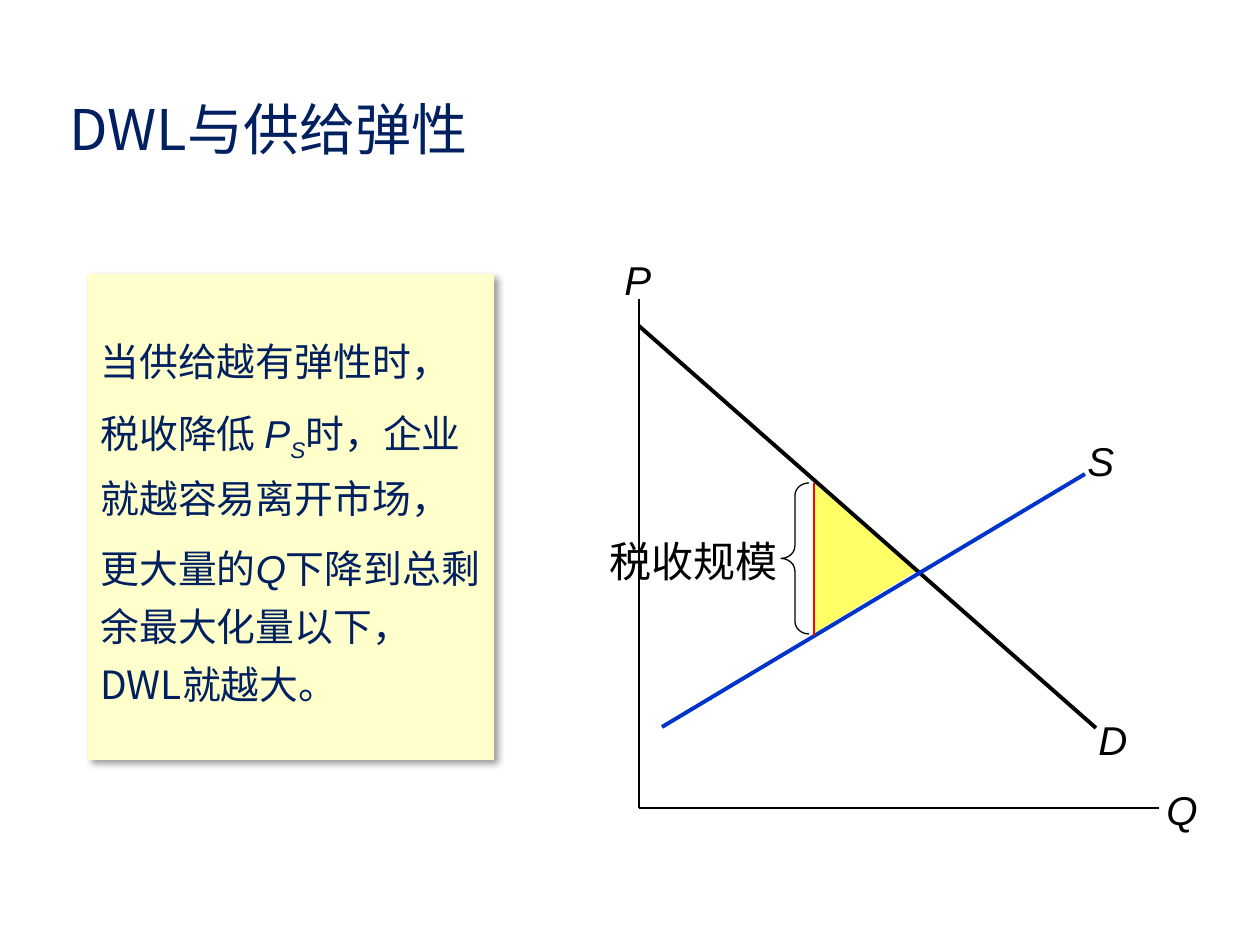
from lxml.etree import SubElement
from pptx import Presentation
from pptx.dml.color import RGBColor
from pptx.enum.shapes import MSO_CONNECTOR, MSO_SHAPE
from pptx.enum.text import MSO_ANCHOR, PP_ALIGN
from pptx.oxml.ns import qn
from pptx.util import Pt

SCALE = 914400 / 126
NAVY = RGBColor(0x00, 0x20, 0x60)
BLACK = RGBColor(0, 0, 0)
BLUE = RGBColor(0x00, 0x33, 0xCC)
RED = RGBColor(0xFF, 0, 0)
CREAM = RGBColor(0xFF, 0xFF, 0xCC)
YELLOW = RGBColor(0xFF, 0xFF, 0x66)
LATIN, HAN = "Arial", "Noto Sans CJK SC"


def emu(*px):
    return [round(n * SCALE) for n in px]


def write(frame, paras, size=23, color=BLACK, align=PP_ALIGN.LEFT,
          font=HAN, wrap=True, lead=None, gap=0):
    """Fill a frame; each paragraph is a list of (text, style), style "", "i" or "sub"."""
    frame.word_wrap = wrap
    frame.vertical_anchor = MSO_ANCHOR.MIDDLE
    for n, runs in enumerate(paras):
        para = frame.paragraphs[0] if n == 0 else frame.add_paragraph()
        para.alignment = align
        if lead:
            para.line_spacing = lead
        if n:
            para.space_before = Pt(gap)
        for text, style in runs:
            run = para.add_run()
            run.text = text
            run.font.size = Pt(size)
            run.font.color.rgb = color
            run.font.italic = bool(style)
            run.font.name = LATIN if style else font
            props = run.font._element
            SubElement(props, qn("a:ea")).set("typeface", HAN)
            if style == "sub":
                props.set("baseline", "-25000")


class Page:
    def __init__(self, slide):
        self.slide = slide
        self.shapes = slide.shapes

    def title(self, text, box):
        head = self.shapes.title
        head.left, head.top, head.width, head.height = emu(*box)
        write(head.text_frame, [[(text, "")]], size=32, color=NAVY, wrap=False)

    def shape(self, kind, box, fill=None, line=None, flip=False):
        item = self.shapes.add_shape(kind, *emu(*box))
        item.shadow.inherit = False
        if fill is None:
            item.fill.background()
        else:
            item.fill.solid()
            item.fill.fore_color.rgb = fill
        if line is None:
            item.line.fill.background()
        else:
            item.line.color.rgb = line
            item.line.width = Pt(0.75)
        if flip:
            item._element.spPr.find(qn("a:xfrm")).set("flipV", "1")
        return item

    def card(self, box, paras):
        item = self.shape(MSO_SHAPE.RECTANGLE, box, CREAM)
        effects = item._element.spPr.find(qn("a:effectLst"))
        shade = SubElement(effects, qn("a:outerShdw"), blurRad=str(Pt(4)),
                           dist=str(Pt(3)), dir="2700000", algn="tl", rotWithShape="0")
        tone = SubElement(shade, qn("a:srgbClr"), val="000000")
        SubElement(tone, qn("a:alpha"), val="40000")
        write(item.text_frame, paras, size=22.2, color=NAVY, lead=1.25, gap=6.7)

    def line(self, start, end, color=BLACK, width=0.75):
        item = self.shapes.add_connector(MSO_CONNECTOR.STRAIGHT, *emu(*start, *end))
        item.line.color.rgb = color
        item.line.width = Pt(width)
        SubElement(item._element.spPr, qn("a:effectLst"))

    def label(self, text, box, style="", **form):
        item = self.shapes.add_textbox(*emu(*box))
        write(item.text_frame, [[(text, style)]], **form)


def main():
    deck = Presentation()
    deck.slide_width, deck.slide_height = emu(1260, 945)
    page = Page(deck.slides.add_slide(deck.slide_layouts[5]))
    page.title("DWL与供给弹性", (57, 88, 437, 81))

    # Explanation card
    page.card((88, 274, 406, 486), [
        [("当供给越有弹性时，", "")],
        [("税收降低", ""), (" P", "i"), ("S", "sub"),
         ("时，企业就越容易离开市场，", "")],
        [("更大量的", ""), ("Q", "i"),
         ("下降到总剩余最大化量以下，DWL就越大。", "")],
    ])

    # Deadweight loss area
    page.shape(MSO_SHAPE.RIGHT_TRIANGLE, (815, 484, 101, 87), YELLOW)
    page.shape(MSO_SHAPE.RIGHT_TRIANGLE, (815, 570, 103, 63), YELLOW, flip=True)

    # Axes
    origin = (639, 808)
    page.line((639, 299), origin)
    page.line(origin, (1159, 808))

    # Demand and supply curves, tax wedge
    page.line((639, 326), (1096, 728), width=2.25)
    page.line((662, 727), (1085, 474), BLUE, 2.25)
    page.line((814, 483), (814, 636), RED, 1.5)

    # Axis and curve names
    for name, left, top in (("P", 612, 249), ("Q", 1154, 779),
                            ("D", 1086, 709), ("S", 1075, 430)):
        page.label(name, (left, top, 50, 60), "i", align=PP_ALIGN.CENTER)

    # Size of the tax
    brace = page.shape(MSO_SHAPE.LEFT_BRACE, (781, 483, 28, 151), line=BLACK)
    brace.adjustments[0] = 0.45
    page.label("税收规模", (596, 529, 194, 64), size=24, font=LATIN,
               align=PP_ALIGN.RIGHT)

    deck.save("out.pptx")


if __name__ == "__main__":
    main()
